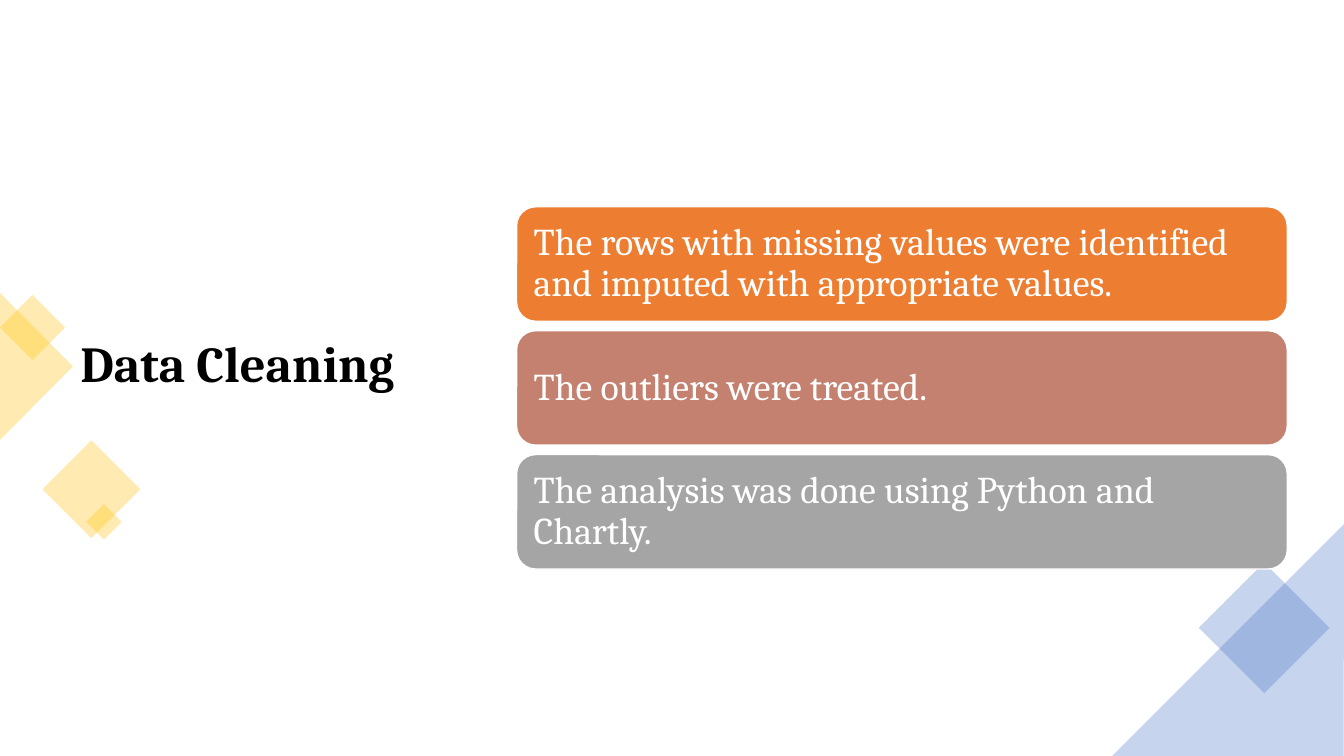
from dataclasses import dataclass

import pptx
import pptx.dml.color
import pptx.enum.shapes
import pptx.enum.text
import pptx.oxml
import pptx.oxml.ns
import pptx.util

EMU_PER_PX = 9525
Preset = pptx.enum.shapes.MSO_SHAPE


@dataclass(frozen=True)
class Theme:
    font: str = "Cambria"
    title_size: int = 36
    card_size: int = 27
    line_spacing: float = 0.9
    black: str = "000000"
    white: str = "FFFFFF"
    gold: str = "FFC000"
    blue: str = "4472C4"
    orange: str = "ED7D31"
    rose: str = "C48170"
    gray: str = "A5A5A5"
    decoration_alpha: int = 30


@dataclass(frozen=True)
class Box:
    left: int
    top: int
    width: int
    height: int

    def emu(self) -> tuple[int, ...]:
        return tuple(side * EMU_PER_PX for side in
                     (self.left, self.top, self.width, self.height))


@dataclass(frozen=True)
class Decoration:
    preset: Preset
    box: Box
    rotation: int
    color: str


@dataclass(frozen=True)
class Card:
    text: str
    color: str


THEME = Theme()
SLIDE = Box(0, 0, 1280, 720)
TITLE = Box(67, 65, 524, 568)
FIRST_CARD = Box(492, 197, 734, 109)
CARD_PITCH = 118
CARD_MARGIN = 11

DECORATIONS = [
    Decoration(Preset.ISOSCELES_TRIANGLE, Box(-36, 314, 141, 70), 90, THEME.gold),
    Decoration(Preset.RECTANGLE, Box(9, 290, 44, 44), 45, THEME.gold),
    Decoration(Preset.RECTANGLE, Box(54, 433, 66, 66), 45, THEME.gold),
    Decoration(Preset.RECTANGLE, Box(87, 485, 24, 24), 45, THEME.gold),
    Decoration(Preset.ISOSCELES_TRIANGLE, Box(1068, 587, 313, 156), 135, THEME.blue),
    Decoration(Preset.RECTANGLE, Box(1160, 554, 88, 88), 45, THEME.blue),
]

CARDS = [
    Card("The rows with missing values were identified and imputed "
         "with appropriate values.", THEME.orange),
    Card("The outliers were treated.", THEME.rose),
    Card("The analysis was done using Python and Chartly.", THEME.gray),
]


def rgb(color: str) -> pptx.dml.color.RGBColor:
    return pptx.dml.color.RGBColor.from_string(color)


def write(shape, text: str, size: int, color: str, bold: bool) -> None:
    """Set left-aligned text, centred vertically, in the theme font."""
    frame = shape.text_frame
    frame.text = text
    paragraph = frame.paragraphs[0]
    formats = {
        frame: {"word_wrap": True,
                "auto_size": pptx.enum.text.MSO_AUTO_SIZE.NONE,
                "vertical_anchor": pptx.enum.text.MSO_ANCHOR.MIDDLE},
        paragraph: {"alignment": pptx.enum.text.PP_ALIGN.LEFT,
                    "line_spacing": THEME.line_spacing},
        paragraph.runs[0].font: {"name": THEME.font, "bold": bold,
                                 "size": pptx.util.Pt(size)},
    }
    for target, values in formats.items():
        for name, value in values.items():
            setattr(target, name, value)
    paragraph.runs[0].font.color.rgb = rgb(color)


def add_filled(slide, preset: Preset, box: Box, color: str):
    shape = slide.shapes.add_shape(preset, *box.emu())
    shape.shadow.inherit = False
    shape.fill.solid()
    shape.fill.fore_color.rgb = rgb(color)
    return shape


def add_decoration(slide, decoration: Decoration) -> None:
    shape = add_filled(slide, decoration.preset, decoration.box, decoration.color)
    shape.rotation = decoration.rotation
    shape.line.fill.background()
    srgb = shape.fill._xPr.find(".//" + pptx.oxml.ns.qn("a:srgbClr"))
    alpha = srgb.makeelement(pptx.oxml.ns.qn("a:alpha"),
                             {"val": str(THEME.decoration_alpha * 1000)})
    srgb.append(alpha)


def add_card(slide, card: Card, index: int) -> None:
    box = Box(FIRST_CARD.left, FIRST_CARD.top + index * CARD_PITCH,
              FIRST_CARD.width, FIRST_CARD.height)
    shape = add_filled(slide, Preset.ROUNDED_RECTANGLE, box, card.color)
    shape.line.color.rgb = rgb(THEME.white)
    shape.line.width = pptx.util.Pt(1)
    for side in ("left", "top", "right", "bottom"):
        setattr(shape.text_frame, f"margin_{side}", CARD_MARGIN * EMU_PER_PX)
    write(shape, card.text, THEME.card_size, THEME.white, bold=False)


def main() -> None:
    deck = pptx.Presentation()
    deck.slide_width, deck.slide_height = SLIDE.emu()[2:]
    slide = deck.slides.add_slide(deck.slide_layouts.get_by_name("Title Only"))

    title = slide.shapes.title
    title.left, title.top, title.width, title.height = TITLE.emu()
    write(title, "Data Cleaning", THEME.title_size, THEME.black, bold=True)

    for decoration in DECORATIONS:
        add_decoration(slide, decoration)
    for index, card in enumerate(CARDS):
        add_card(slide, card, index)
    deck.save("out.pptx")


if __name__ == "__main__":
    main()
